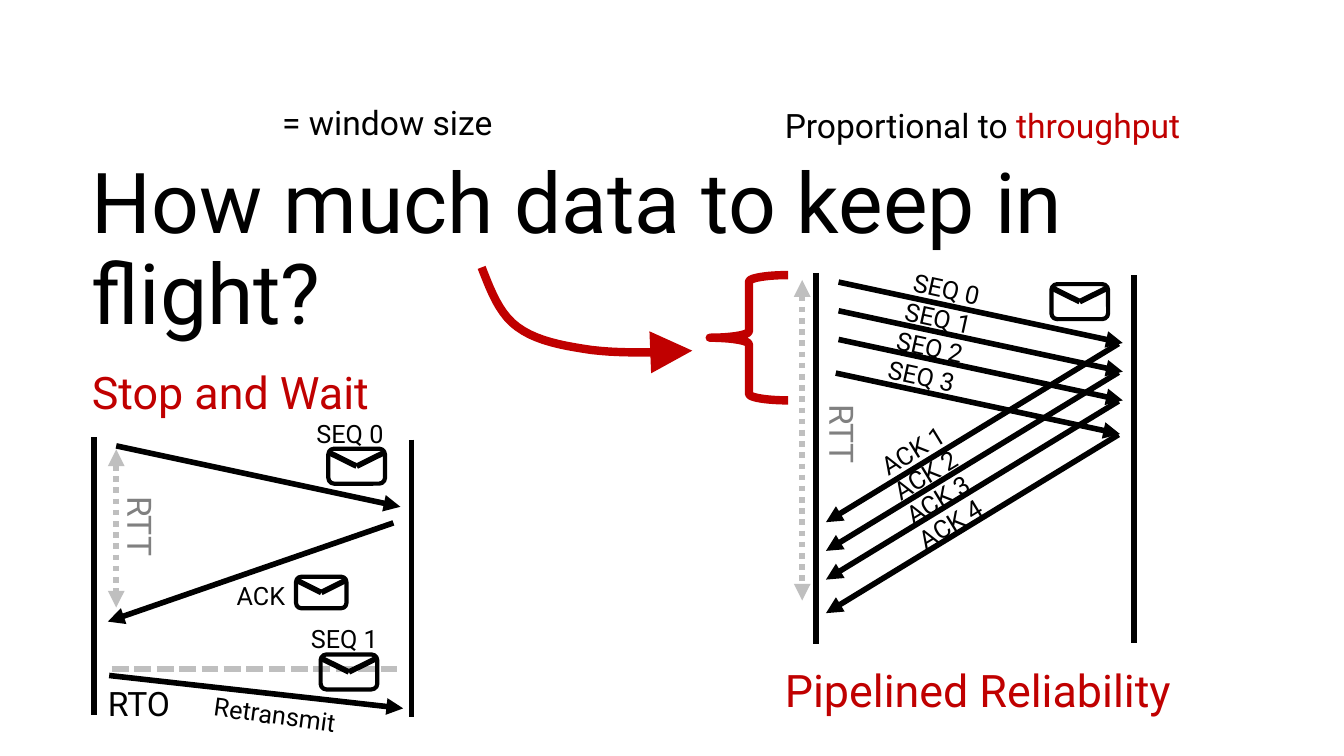
import pptx
import pptx.dml.color
import pptx.enum.dml
import pptx.enum.shapes
import pptx.enum.text
import pptx.oxml.ns
import pptx.util
from lxml import etree

Pt = pptx.util.Pt
SHAPE = pptx.enum.shapes.MSO_SHAPE
DASH = pptx.enum.dml.MSO_LINE
FONT = "Roboto"
BLACK, RED, GREY, SILVER = "000000", "C00000", "808080", "BFBFBF"


def rgb(value):
    """Turn a hex string into a colour."""
    return pptx.dml.color.RGBColor.from_string(value)


def add_run(p, text, size, color):
    """Append a formatted run to a paragraph."""
    r = p.add_run()
    r.text = text
    r.font.name, r.font.size = FONT, Pt(size)
    r.font.color.rgb = rgb(color)


def add_text(s, text, left, top, width, height, *, size=18, color=BLACK,
             rotation=0, accent=""):
    """Add a one-line text box, optionally ending in a red accent."""
    sp = s.shapes.add_textbox(Pt(left), Pt(top), Pt(width), Pt(height))
    sp.rotation = rotation
    tf = sp.text_frame
    tf.word_wrap = True
    tf.auto_size = pptx.enum.text.MSO_AUTO_SIZE.SHAPE_TO_FIT_TEXT
    add_run(tf.paragraphs[0], text, size, color)
    if accent:
        add_run(tf.paragraphs[0], accent, size, RED)


def add_arrowhead(sp, end, size="med"):
    """Put a triangle on the headEnd or tailEnd of a line."""
    tag = pptx.oxml.ns.qn(f"a:{end}")
    etree.SubElement(sp.line._get_or_add_ln(), tag, type="triangle", w=size, len=size)


def add_line(shapes, x1, y1, x2, y2, *, color=BLACK, dash=None, ends=()):
    """Add a straight line with optional dashes and arrowheads."""
    sp = shapes.add_connector(pptx.enum.shapes.MSO_CONNECTOR.STRAIGHT,
                              Pt(x1), Pt(y1), Pt(x2), Pt(y2))
    sp.line.width = Pt(4)
    sp.line.color.rgb = rgb(color)
    if dash:
        sp.line.dash_style = dash
    for end in ends:
        add_arrowhead(sp, end)
    etree.SubElement(sp._element.spPr, pptx.oxml.ns.qn("a:effectLst"))


def add_message(s, x, y, dx, dy):
    """Add the arrow of one message from its start and its extent."""
    add_line(s.shapes, x, y, x + dx, y + dy, ends=["tailEnd"])


def add_rtt(s, x, top, bottom, label_top):
    """Add a dotted round-trip span with its turned label."""
    add_line(s.shapes, x, top, x, bottom, color=SILVER, dash=DASH.ROUND_DOT,
             ends=["headEnd", "tailEnd"])
    label_left = x - 22 if x < 500 else x - 10.5
    add_text(s, "RTT", label_left, label_top, 79, 36, size=24, color=GREY, rotation=90)


def style_outline(sp, color, width):
    """Leave a shape unfilled with a plain outline."""
    sp.shadow.inherit = False
    sp.fill.background()
    sp.line.color.rgb = rgb(color)
    sp.line.width = Pt(width)


def add_envelope(s, left, top, width, height):
    """Add a grouped envelope with a folded flap."""
    group = s.shapes.add_group_shape()
    sp = group.shapes.add_shape(SHAPE.ROUNDED_RECTANGLE, Pt(left), Pt(top),
                                Pt(width), Pt(height))
    style_outline(sp, BLACK, 3)
    edge, fold, middle = top + height * 0.1, top + height * 0.5, left + width / 2
    add_line(group.shapes, left, edge, middle, fold)
    add_line(group.shapes, middle, fold, left + width, edge)


def bezier(p0, p1, p2, p3, steps=10):
    """Return points along a cubic curve, without its start."""
    points = []
    for i in range(1, steps + 1):
        t = i / steps
        weights = ((1 - t) ** 3, 3 * t * (1 - t) ** 2, 3 * t * t * (1 - t), t ** 3)
        points.append(tuple(Pt(sum(w * p[k] for w, p in zip(weights, (p0, p1, p2, p3))))
                            for k in (0, 1)))
    return points


def add_curved_arrow(s, knots):
    """Add a thick red arrow through chained cubic curves."""
    builder = s.shapes.build_freeform(Pt(knots[0][0]), Pt(knots[0][1]), scale=1.0)
    for i in range(0, len(knots) - 1, 3):
        builder.add_line_segments(bezier(*knots[i:i + 4]), close=False)
    sp = builder.convert_to_shape()
    style_outline(sp, RED, 6)
    add_arrowhead(sp, "tailEnd", "lg")


def set_title(s, text):
    """Place and fill the title placeholder."""
    sp = s.shapes.title
    sp.left, sp.top, sp.width, sp.height = Pt(58.5), Pt(24), Pt(828), Pt(224.5)
    tf = sp.text_frame
    tf.word_wrap = True
    tf.auto_size = pptx.enum.text.MSO_AUTO_SIZE.NONE
    tf.vertical_anchor = pptx.enum.text.MSO_ANCHOR.BOTTOM
    p = tf.paragraphs[0]
    p.alignment = pptx.enum.text.PP_ALIGN.LEFT
    p.line_spacing = 0.9
    add_run(p, text, 60, BLACK)


def add_stop_and_wait(s):
    """Draw the stop-and-wait timeline."""
    add_text(s, "Stop and Wait", 58.5, 257, 239, 46, size=32, color=RED)
    add_line(s.shapes, 67, 312.5, 67, 511)
    add_line(s.shapes, 294, 314, 294, 512.5)
    add_message(s, 83, 318.5, 203, 43.5)
    add_message(s, 281, 373.5, -204, 70.5)
    add_line(s.shapes, 80, 478, 285, 478, color=SILVER, dash=DASH.SQUARE_DOT)
    add_message(s, 78, 482.5, 210, 23.5)
    add_rtt(s, 83, 321, 434, 369)
    add_envelope(s, 234.5, 320.5, 40.5, 25)
    add_envelope(s, 211.5, 412, 36, 22.5)
    add_envelope(s, 229, 467.5, 40.5, 25)
    add_text(s, "RTO", 70, 484, 79, 36, size=24)
    add_text(s, "SEQ 0", 219, 295, 78, 29)
    add_text(s, "SEQ 1", 215, 441.5, 78, 29)
    add_text(s, "Retransmit", 145.5, 497, 119, 29, rotation=7.7)
    add_text(s, "ACK", 162, 411, 65, 29)


def add_pipeline(s):
    """Draw the pipelined timeline."""
    add_line(s.shapes, 583, 195, 583, 460)
    add_line(s.shapes, 810, 196.5, 810, 459.5)
    add_envelope(s, 751, 203, 40.5, 25)
    add_rtt(s, 573, 200, 429, 303)
    starts = [(599, 201.5), (599, 222), (599, 242.5), (597, 266.5)]
    for i, (x, y) in enumerate(starts):
        add_message(s, x, y, 203, 43.5)
        add_message(s, 799, y + 44, -209, 127.5)
        add_text(s, f"SEQ {i}", 645 - 6 * i, 193.7 + 20.6 * i, 78, 29, rotation=12.4)
        add_text(s, f"ACK {i + 1}", 618.5 + 8.9 * i, 301 + 17.5 * i, 87, 29, rotation=328.7)
    add_text(s, "Pipelined Reliability", 553.5, 470, 303, 46, size=32, color=RED)


def add_window_notes(s):
    """Add the window arrow, brace and remarks."""
    add_curved_arrow(s, [(344, 191), (350.5, 207.5), (356.5, 224), (369.5, 233.5),
                         (383, 243.5), (402, 247), (422.5, 250),
                         (443.5, 252.5), (468.5, 252), (494.5, 250.5)])
    sp = s.shapes.add_shape(SHAPE.LEFT_BRACE, Pt(507), Pt(196.5), Pt(56), Pt(89.5))
    style_outline(sp, RED, 6)
    add_text(s, "= window size", 194.5, 69, 174, 36, size=24)
    add_text(s, "Proportional to ", 553.5, 71.5, 319, 36, size=24, accent="throughput")


def main():
    """Build the slide and save it."""
    prs = pptx.Presentation()
    prs.slide_width, prs.slide_height = Pt(960), Pt(540)
    s = prs.slides.add_slide(prs.slide_layouts[5])
    set_title(s, "How much data to keep in flight?")
    add_stop_and_wait(s)
    add_pipeline(s)
    add_window_notes(s)
    prs.save("out.pptx")


if __name__ == "__main__":
    main()
